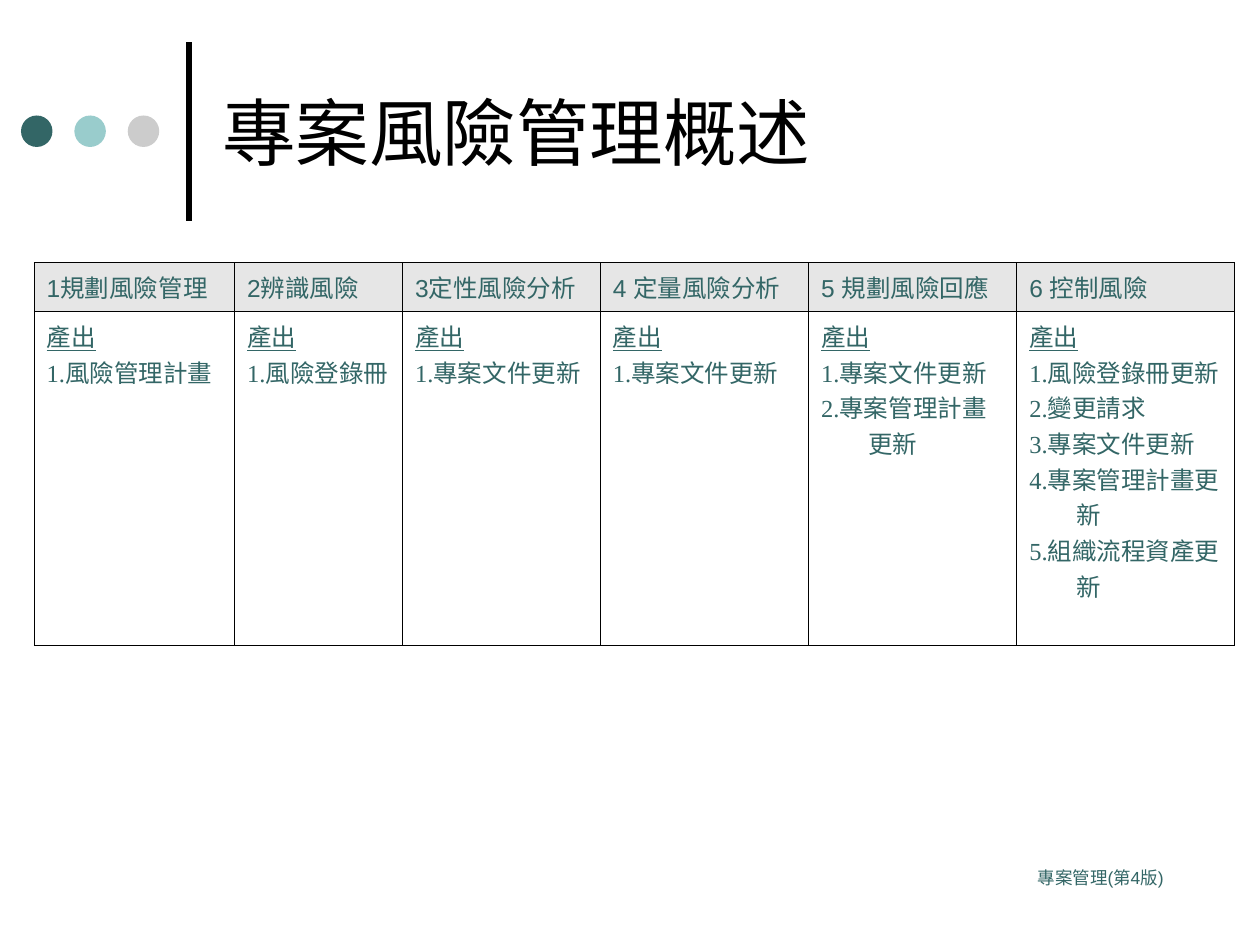
from pptx import Presentation
from pptx.dml.color import RGBColor
from pptx.enum.shapes import MSO_CONNECTOR, MSO_SHAPE
from pptx.enum.text import MSO_ANCHOR, PP_ALIGN
from pptx.oxml.ns import qn
from pptx.util import Pt
from lxml.etree import SubElement


def color(value):
    return RGBColor.from_string(value)


def style(paragraph, size, font, ink):
    for run in paragraph.runs:
        run.font.size = Pt(size)
        run.font.name = font
        run.font.color.rgb = color(ink)


TEAL = "336666"
processes = [
    ("1規劃風險管理", 114.5, ["1.風險管理計畫"]),
    ("2辨識風險", 96, ["1.風險登錄冊"]),
    ("3定性風險分析", 113, ["1.專案文件更新"]),
    ("4 定量風險分析", 119, ["1.專案文件更新"]),
    ("5 規劃風險回應", 119, ["1.專案文件更新", "2.專案管理計畫更新"]),
    ("6 控制風險", 124.5, ["1.風險登錄冊更新", "2.變更請求", "3.專案文件更新",
                        "4.專案管理計畫更新", "5.組織流程資產更新"]),
]

deck = Presentation()
deck.slide_width, deck.slide_height = Pt(720), Pt(540)
slide = deck.slides.add_slide(deck.slide_layouts[6])

divider = slide.shapes.add_connector(
    MSO_CONNECTOR.STRAIGHT, Pt(108), Pt(126), Pt(108), Pt(24))
divider.line.color.rgb = color("000000")
divider.line.width = Pt(3)
SubElement(divider._element.spPr, qn("a:effectLst"))

for i, dot_color in enumerate([TEAL, "99CCCC", "CCCCCC"]):
    dot = slide.shapes.add_shape(
        MSO_SHAPE.OVAL, Pt(12 + 30.5 * i), Pt(66), Pt(18), Pt(18))
    dot.shadow.inherit = False
    dot.fill.solid()
    dot.fill.fore_color.rgb = color(dot_color)
    dot.line.fill.background()

edition = slide.shapes.add_textbox(Pt(522), Pt(492), Pt(150), Pt(36)).text_frame
edition.word_wrap = True
edition.text = "專案管理(第4版)"
edition.paragraphs[0].alignment = PP_ALIGN.RIGHT
style(edition.paragraphs[0], 10, "Arial", TEAL)

title = slide.shapes.add_textbox(Pt(120), Pt(15), Pt(552), Pt(120)).text_frame
title.word_wrap = True
title.vertical_anchor = MSO_ANCHOR.MIDDLE
title.text = "專案風險管理概述"
style(title.paragraphs[0], 42, "Arial", "000000")

row_heights = [28, 191]
total_width = sum(width for _, width, _ in processes)
overview = slide.shapes.add_table(
    len(row_heights), len(processes),
    Pt(19.5), Pt(150), Pt(total_width), Pt(sum(row_heights))).table
overview.first_row = False
overview.horz_banding = False
for table_row, height in zip(overview.rows, row_heights):
    table_row.height = Pt(height)

for col, (process, width, outputs) in enumerate(processes):
    overview.columns[col].width = Pt(width)
    for row, lines in enumerate([[process], ["產出"] + outputs]):
        cell = overview.cell(row, col)
        cell_props = cell._tc.get_or_add_tcPr()
        for side in ("a:lnL", "a:lnR", "a:lnT", "a:lnB"):
            border = SubElement(cell_props, qn(side), w=str(Pt(0.45)))
            border_fill = SubElement(border, qn("a:solidFill"))
            SubElement(border_fill, qn("a:srgbClr"), val="000000")
        if row == 0:
            cell.fill.solid()
            cell.fill.fore_color.rgb = color("E6E6E6")
        else:
            cell.fill.background()
        cell.text_frame.text = "\n".join(lines)
        for n, paragraph in enumerate(cell.text_frame.paragraphs):
            indent = paragraph._p.get_or_add_pPr()
            indent.set("marL", str(Pt(27)))
            indent.set("indent", str(Pt(-27)))
            style(paragraph, 14, "Times New Roman" if n else "Arial", TEAL)
        cell.text_frame.paragraphs[0].runs[0].font.underline = row == 1

deck.save("out.pptx")
